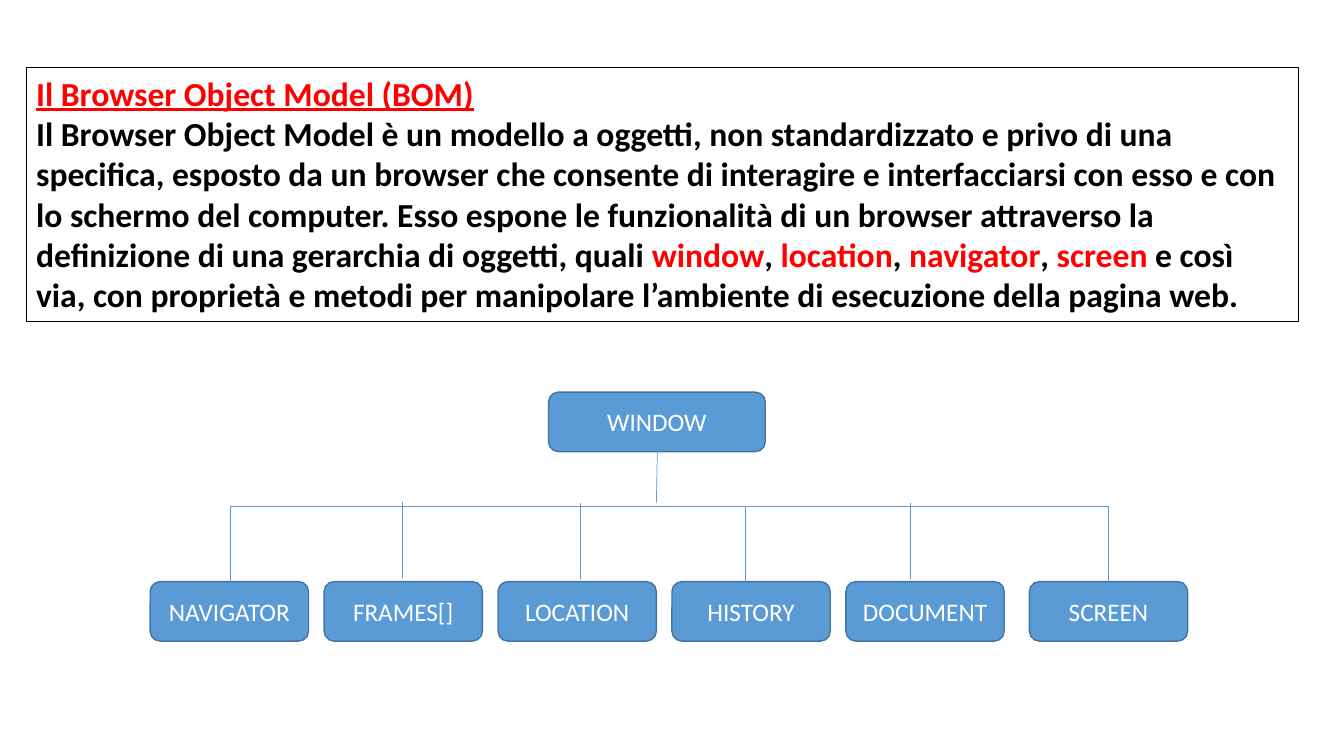
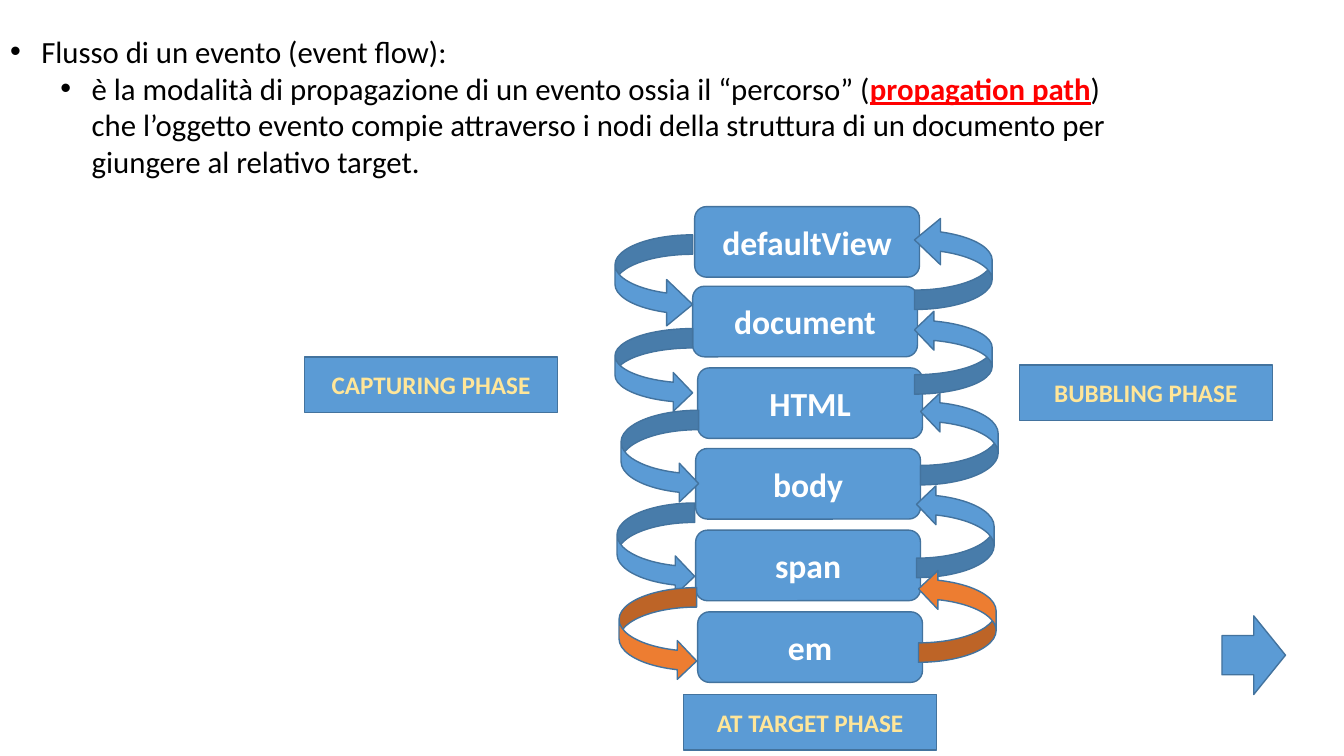
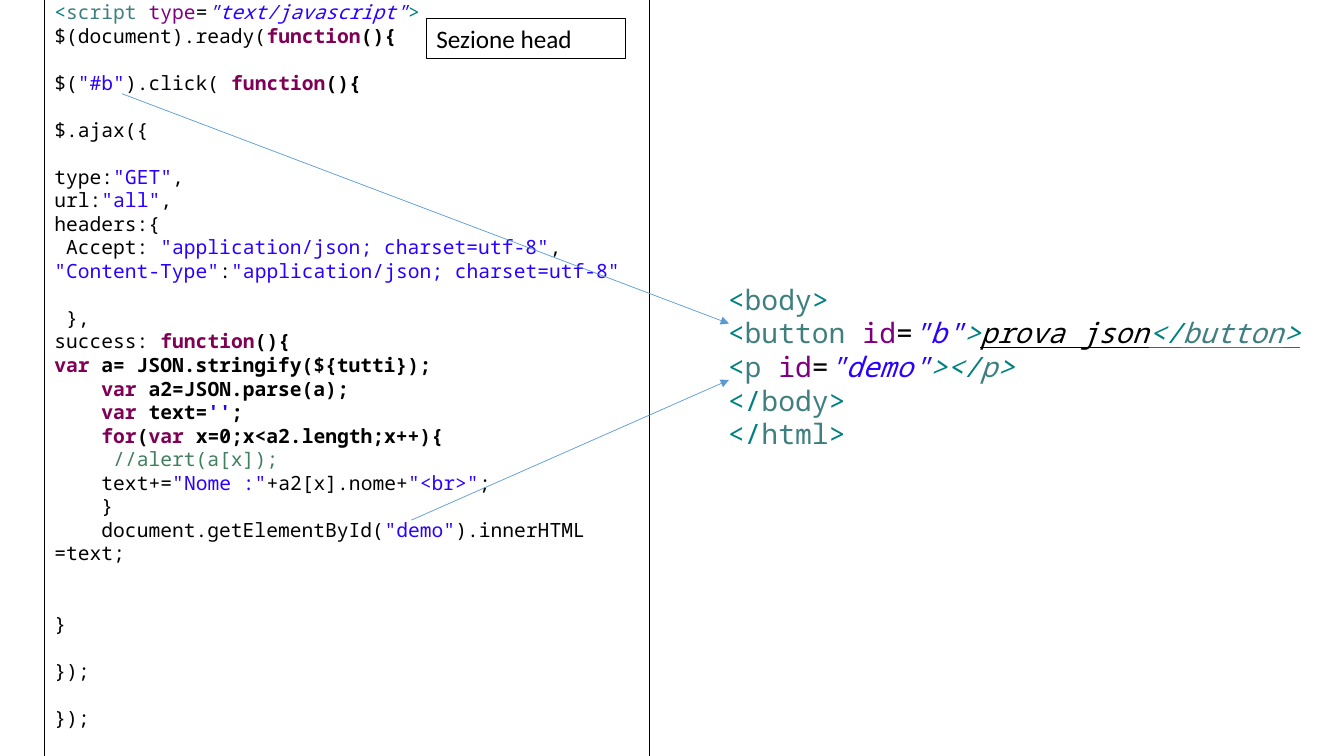
"""Builds three lesson slides on the browser object model, event flow and an AJAX call."""
import dataclasses
import typing

import lxml.etree
import pptx
import pptx.dml.color
import pptx.enum.shapes
import pptx.enum.text
import pptx.oxml.ns
import pptx.util

Inches = pptx.util.Inches
Pt = pptx.util.Pt
Form = pptx.enum.shapes.MSO_SHAPE
qn = pptx.oxml.ns.qn

BLUE, EDGE, ORANGE = "5B9BD5", "43739E", "ED7D31"
BLACK, WHITE, RED, CREAM = "000000", "FFFFFF", "FF0000", "FFE699"
SANS, MONO = "Calibri", "Noto Sans Mono"
PITCH = 16.8
CHAR = 0.117


@dataclasses.dataclass(frozen=True)
class Ink:
    color: str = BLACK
    bold: bool = False
    slant: bool = False
    under: bool = False


@dataclasses.dataclass(frozen=True)
class Line:
    runs: list
    gap: int = 0
    indent: int = 0


class Box(typing.NamedTuple):
    left: float
    top: float
    width: float
    height: float


class Node(typing.NamedTuple):
    text: str
    left: float
    top: float


class Drop(typing.NamedTuple):
    left: float
    top: float


class Loop(typing.NamedTuple):
    left: float
    top: float
    height: float = 0.92
    fill: str = BLUE
    bends: tuple = ()


PLAIN, HEAVY = Ink(), Ink(bold=True)
HOT = Ink(RED)
LINK = Ink(RED, bold=True, under=True)
TAG, NAME, ATTR = Ink("008080"), Ink("3F7F7F"), Ink("7F007F")
VALUE, WORD, NOTE = Ink("2A00FF"), Ink("7F0055", bold=True), Ink("3F7F5F")
QUOTE = dataclasses.replace(VALUE, slant=True)
SLOPE = dataclasses.replace(TAG, slant=True)


def paint(target: typing.Any, color: str) -> None:
    """Give a font, fill or line a solid colour."""
    if hasattr(target, "solid"):
        target.solid()
        target.fore_color.rgb = pptx.dml.color.RGBColor.from_string(color)
    else:
        paint(target.fill, color)


def place(box: Box) -> tuple:
    """Turn a box into lengths."""
    return tuple(Inches(side) for side in box)


def dent(para: typing.Any, margin: float, first: float) -> None:
    """Set the left margin and first-line indent of a paragraph."""
    props = para._p.get_or_add_pPr()
    props.set("marL", str(Inches(margin)))
    props.set("indent", str(Inches(first)))


def write(frame: typing.Any, lines: list, size: float, face: str = SANS,
          bold: bool = False) -> None:
    """Fill a frame with lines whose runs are strings or (text, ink) pairs."""
    frame.word_wrap = True
    frame.auto_size = pptx.enum.text.MSO_AUTO_SIZE.NONE
    for spot, line in enumerate(lines):
        para = frame.add_paragraph() if spot else frame.paragraphs[0]
        para.font.name, para.font.size, para.font.bold = face, Pt(size), bold
        para.space_before = Pt(line.gap * PITCH)
        if line.indent:
            dent(para, 0, line.indent * CHAR)
        for part in line.runs:
            text, ink = (part, PLAIN) if isinstance(part, str) else part
            run = para.add_run()
            run.text = text
            paint(run.font, ink.color)
            run.font.bold = ink.bold or None
            run.font.italic = ink.slant or None
            run.font.underline = ink.under or None


def panel(slide: typing.Any, box: Box, lines: list, size: float,
          face: str = SANS, bold: bool = False, framed: bool = True) -> None:
    """Add a text box, with a thin black frame if asked."""
    shape = slide.shapes.add_textbox(*place(box))
    write(shape.text_frame, lines, size, face, bold)
    if framed:
        paint(shape.line, BLACK)
        shape.line.width = Pt(0.75)


def block(slide: typing.Any, form: typing.Any, box: Box, fill: str = BLUE) -> typing.Any:
    """Add a filled shape with the shared edge."""
    shape = slide.shapes.add_shape(form, *place(box))
    shape.shadow.inherit = False
    paint(shape.fill, fill)
    paint(shape.line, EDGE)
    shape.line.width = Pt(1)
    return shape


def label(slide: typing.Any, form: typing.Any, box: Box, text: str,
          size: float = 18, color: str = WHITE, bold: bool = False) -> None:
    """Add a filled shape with one centred line of text."""
    frame = block(slide, form, box).text_frame
    frame.vertical_anchor = pptx.enum.text.MSO_ANCHOR.MIDDLE
    write(frame, [Line([(text, Ink(color))])], size, bold=bold)
    frame.paragraphs[0].alignment = pptx.enum.text.PP_ALIGN.CENTER


def link(slide: typing.Any, start: tuple, end: tuple, arrow: bool = False) -> None:
    """Add a thin blue line, with an arrowhead at its end if asked."""
    wire = slide.shapes.add_connector(
        pptx.enum.shapes.MSO_CONNECTOR.STRAIGHT,
        *(Inches(side) for side in start + end))
    paint(wire.line, BLUE)
    wire.line.width = Pt(0.5)
    if arrow:
        lxml.etree.SubElement(wire.line._get_or_add_ln(), qn("a:tailEnd"), type="triangle")
    lxml.etree.SubElement(wire._element.spPr, qn("a:effectLst"))


def model(slide: typing.Any) -> None:
    """Draw the object tree under its definition."""
    panel(slide, Box(0.26, 0.67, 12.62, 2.52), [
        Line([("Il Browser Object Model (BOM)", LINK)]),
        Line(["Il Browser Object Model è un modello a oggetti, non standardizzato e privo "
              "di una specifica, esposto da un browser che consente di interagire e "
              "interfacciarsi con esso e con lo schermo del computer. Esso espone le "
              "funzionalità di un browser attraverso la definizione di una gerarchia di "
              "oggetti, quali ",
              ("window", HOT), ", ", ("location", HOT), ", ",
              ("navigator", HOT), ", ", ("screen", HOT),
              " e così via, con proprietà e metodi per manipolare l’ambiente di "
              "esecuzione della pagina web."]),
    ], 24, bold=True)
    label(slide, Form.ROUNDED_RECTANGLE, Box(5.44, 3.89, 2.15, 0.59), "WINDOW")
    names = ["NAVIGATOR", "FRAMES[]", "LOCATION", "HISTORY", "DOCUMENT"]
    nodes = [Node(name, 1.49 + 1.725 * spot, 5.77) for spot, name in enumerate(names)]
    for node in nodes + [Node("SCREEN", 10.21, 5.77)]:
        label(slide, Form.ROUNDED_RECTANGLE, Box(node.left, node.top, 1.57, 0.59), node.text)
    link(slide, (6.52, 4.48), (6.51, 4.99))
    link(slide, (2.28, 5.02), (10.99, 5.02))
    drops = [Drop(2.28, 5.02), Drop(3.99, 4.98), Drop(5.76, 4.99),
             Drop(7.39, 5.02), Drop(9.03, 4.99), Drop(10.99, 5.02)]
    for drop in drops:
        link(slide, drop, (drop.left, drop.top + 0.75))


def flow(slide: typing.Any) -> None:
    """Draw the path of an event down and up the nodes."""
    title, body = slide.placeholders
    title._element.getparent().remove(title._element)
    body.left, body.top, body.width, body.height = place(Box(0, 0.27, 11.23, 1.58))
    write(body.text_frame, [
        Line(["Flusso di un evento (event flow):"]),
        Line(["è la modalità di propagazione di un evento ossia il “percorso” (",
              ("propagation path", LINK),
              ") che l’oggetto evento compie attraverso i nodi della struttura di un "
              "documento per giungere al relativo target."]),
    ], 22)
    for level, para in enumerate(body.text_frame.paragraphs):
        para.level = level
        dent(para, 0.31 + 0.5 * level, -0.31)
        props = para._p.get_or_add_pPr()
        mark = lxml.etree.Element(qn("a:buChar"), char="•")
        props.find(qn("a:defRPr")).addprevious(mark)
        face = lxml.etree.Element(qn("a:buFont"), typeface="Arial")
        mark.addprevious(face)
    nodes = [Node("defaultView", 6.89, 2.05), Node("document", 6.87, 2.84),
             Node("HTML", 6.92, 3.65), Node("body", 6.9, 4.45),
             Node("span", 6.9, 5.26), Node("em", 6.92, 6.07)]
    for node in nodes:
        label(slide, Form.ROUNDED_RECTANGLE, Box(node.left, node.top, 2.23, 0.7),
              node.text, 24, bold=True)
    loops = [Loop(6.1, 2.33, bends=(0.25, 0.596, 0.335)), Loop(6.1, 3.26, 0.83),
             Loop(6.16, 4.07), Loop(6.12, 4.99), Loop(6.14, 5.83, fill=ORANGE)]
    for loop in loops:
        for right, down, turn in ((0, 0, 0), (2.97, -0.18, 180)):
            box = Box(loop.left + right, loop.top + down, 0.77, loop.height)
            arrow = block(slide, Form.CURVED_RIGHT_ARROW, box, loop.fill)
            arrow.rotation = turn
            for spot, bend in enumerate(loop.bends):
                arrow.adjustments[spot] = bend
    phases = [Node("CAPTURING PHASE", 3.02, 3.54), Node("AT TARGET PHASE", 6.78, 6.89),
              Node("BUBBLING PHASE", 10.11, 3.62)]
    for phase in phases:
        label(slide, Form.RECTANGLE, Box(phase.left, phase.top, 2.51, 0.55),
              phase.text, color=CREAM, bold=True)
    block(slide, Form.RIGHT_ARROW, Box(12.12, 6.11, 0.63, 0.78))


def code(slide: typing.Any) -> None:
    """Show the script beside the page body it acts on."""
    call = [("function", WORD), ("(){", HEAVY)]
    media = ('"application/json; charset=utf-8"', VALUE)
    panel(slide, Box(0.44, -0.05, 6, 7.64), [
        Line([("<", TAG), ("script ", NAME), ("type", ATTR), "=",
              ('"text/javascript"', QUOTE), (">", TAG)]),
        Line(["$(document).ready(", *call]),
        Line(["$(", ('"#b"', VALUE), ").click( ", *call], gap=1),
        Line(["$.ajax({"], gap=1),
        Line(["type:", ('"GET"', VALUE), ","], gap=1),
        Line(["url:", ('"all"', VALUE), ","]),
        Line(["headers:{"]),
        Line(["Accept: ", media, ","], indent=1),
        Line([('"Content-Type"', VALUE), ":", media]),
        Line(["},"], gap=1, indent=1),
        Line(["success: ", *call]),
        Line([("var", WORD), (" a= JSON.stringify(${tutti});", HEAVY)]),
        Line([("var", WORD), (" a2=JSON.parse(a);", HEAVY)], indent=4),
        Line([("var", WORD), (" text=", HEAVY),
              ("''", dataclasses.replace(VALUE, bold=True)), (";", HEAVY)], indent=4),
        Line([("for", WORD), ("(", HEAVY), ("var", WORD),
              (" x=0;x<a2.length;x++){", HEAVY)], indent=4),
        Line([("//alert(a[x]);", NOTE)], indent=5),
        Line(["text+=", ('"Nome :"', VALUE), "+a2[x].nome+", ('"<br>"', VALUE), ";"],
             indent=4),
        Line(["}"], indent=4),
        Line(["document.getElementById(", ('"demo"', VALUE), ").innerHTML =text;"],
             indent=4),
        Line(["}"], gap=2),
        Line(["});"], gap=1),
        Line(["});"], gap=1),
    ], 14, MONO)
    panel(slide, Box(4.23, 0.18, 1.97, 0.4), [Line(["Sezione head"])], 18)
    under = dataclasses.replace(SLOPE, under=True)
    panel(slide, Box(7.12, 2.75, 5.91, 1.78), [
        Line([("<", TAG), ("body", NAME), (">", TAG)]),
        Line([("<", TAG), ("button ", NAME), ("id", ATTR), "=", ('"b"', QUOTE),
              (">", SLOPE), ("prova json", Ink(slant=True, under=True)), ("</", under),
              ("button", dataclasses.replace(NAME, slant=True, under=True)),
              (">", under)]),
        Line([("<", TAG), ("p ", NAME), ("id", ATTR), "=", ('"demo"', QUOTE),
              ("></", SLOPE), ("p", dataclasses.replace(NAME, slant=True)),
              (">", SLOPE)]),
        Line([("</", TAG), ("body", NAME), (">", TAG)]),
        Line([("</", TAG), ("html", NAME), (">", TAG)]),
    ], 20, MONO, framed=False)
    link(slide, (4.08, 5.16), (7.23, 3.77), arrow=True)
    link(slide, (1.21, 0.93), (7.23, 3.21), arrow=True)


def main() -> None:
    """Build and save the deck."""
    deck = pptx.Presentation()
    deck.slide_width, deck.slide_height = Inches(13.33), Inches(7.5)
    for draw, layout in ((model, 6), (flow, 1), (code, 6)):
        draw(deck.slides.add_slide(deck.slide_layouts[layout]))
    deck.save("out.pptx")


main()
